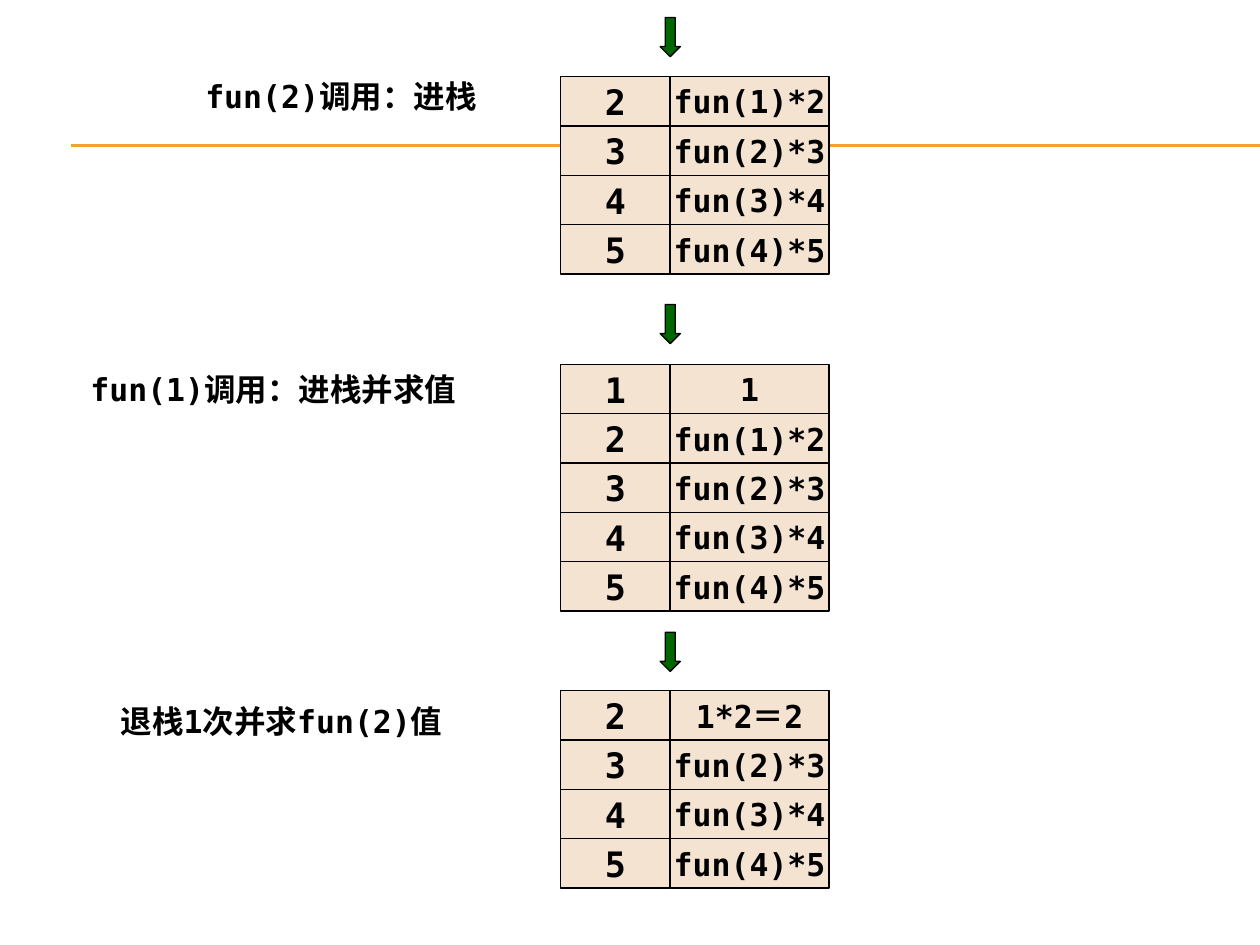
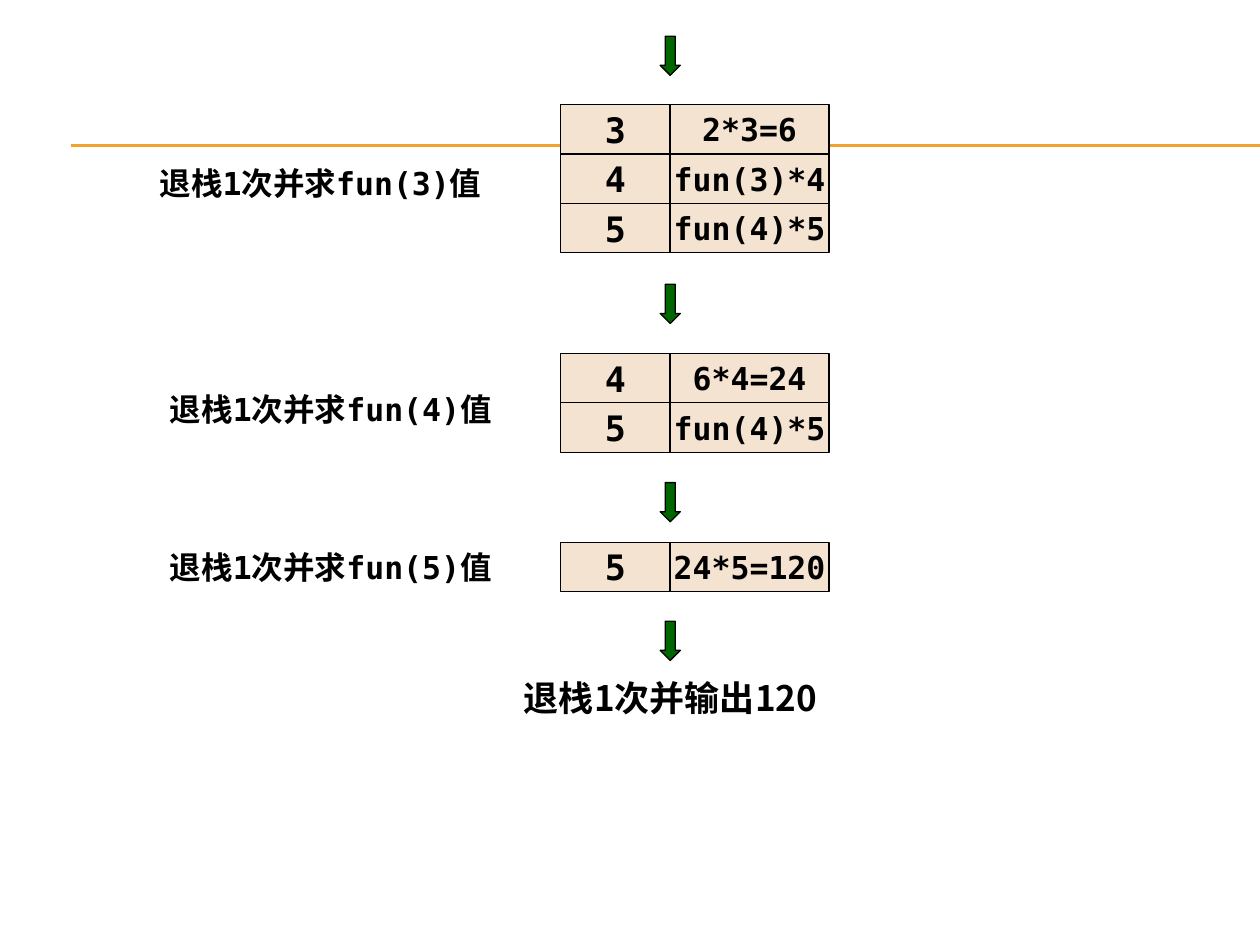
from pptx import Presentation
from pptx.dml.color import RGBColor
from pptx.enum.shapes import MSO_CONNECTOR, MSO_SHAPE
from pptx.enum.text import MSO_ANCHOR, MSO_AUTO_SIZE, PP_ALIGN
from pptx.oxml.ns import qn
from pptx.util import Pt
from lxml import etree

RECT, ARROW = MSO_SHAPE.RECTANGLE, MSO_SHAPE.DOWN_ARROW
LINE = MSO_CONNECTOR.STRAIGHT
MIDDLE, CENTER = MSO_ANCHOR.MIDDLE, PP_ALIGN.CENTER
GROW = MSO_AUTO_SIZE.SHAPE_TO_FIT_TEXT

BLACK = RGBColor(0x00, 0x00, 0x00)
GOLD = RGBColor(0xF0, 0xA2, 0x2E)
GREEN = RGBColor(0x00, 0x66, 0x00)
SAND = RGBColor(0xF5, 0xE3, 0xD1)

MONO, HAN = "DejaVu Sans Mono", "Noto Sans CJK SC"
WIDE, HIGH = 720, 540
DEPTH = 5                      # the first call, at the bottom of each stack
LEFT, KEY_W, VAL_W = 320.4, 62.6, 90.7
MID = LEFT + KEY_W
ROW = 28.2
ARROW_W, ARROW_H = 11.5, 22.4

# Each step: arrow top, stack top, top n, its value (None: still pending),
# then the label's text, left, top and width
PUSH = [
    (10, 43.8, 2, None, ("fun(2)调用：进栈", 110.2, 40.3, 187)),
    (174, 208.2, 1, "1", ("fun(1)调用：进栈并求值", 44.6, 208, 263.5)),
    (361.3, 394.7, 2, "1*2＝2", ("退栈1次并求fun(2)值", 61.9, 397.5, 235.5)),
]
POP = [
    (20.7, 59.8, 3, "2*3=6", ("退栈1次并求fun(3)值", 84.2, 90, 232.6)),
    (162.5, 202, 4, "6*4=24", ("退栈1次并求fun(4)值", 90, 219.6, 226.8)),
    (275.8, 309.8, 5, "24*5=120", ("退栈1次并求fun(5)值", 90, 309.6, 226.8)),
]


def write(frame, text, size, font=MONO):
    run = frame.paragraphs[0].add_run()
    run.text = text
    run.font.size, run.font.bold, run.font.name = Pt(size), True, font
    run.font.color.rgb = BLACK
    # Chinese glyphs take their own face
    han = etree.SubElement(run.font._element, qn("a:ea"))
    han.set("typeface", HAN)


def block(slide, kind, x, y, w, h, fill):
    shape = slide.shapes.add_shape(kind, Pt(x), Pt(y), Pt(w), Pt(h))
    shape.shadow.inherit = False
    shape.fill.solid()
    shape.fill.fore_color.rgb = fill
    shape.line.color.rgb = BLACK
    shape.line.width = Pt(0.75)
    return shape


def cell(slide, x, y, w, text, size):
    frame = block(slide, RECT, x, y, w, ROW, SAND).text_frame
    frame.word_wrap = False
    frame.vertical_anchor = MIDDLE
    frame.paragraphs[0].alignment = CENTER
    write(frame, text, size)


def stack(slide, top, first, value):
    """Draw the frames from n = first down to DEPTH; only the first has a value."""
    for n in range(first, DEPTH + 1):
        y = top + (n - first) * ROW
        text = value if n == first and value else f"fun({n - 1})*{n}"
        cell(slide, LEFT, y, KEY_W, str(n), 20)
        cell(slide, MID, y, VAL_W, text, 18)


def arrow(slide, top):
    shape = block(slide, ARROW, MID - ARROW_W / 2, top, ARROW_W, ARROW_H, GREEN)
    shape.adjustments[0] = 0.5
    shape.adjustments[1] = 0.5


def label(slide, text, x, y, w, size=18, font=MONO):
    box = slide.shapes.add_textbox(Pt(x), Pt(y), Pt(w), Pt(size * 1.2 + 7.2))
    frame = box.text_frame
    frame.word_wrap = True
    frame.auto_size = GROW
    write(frame, text, size, font)


def rule(slide):
    """Draw the double gold line that all slides share."""
    for y in (82.8, 83.4):
        line = slide.shapes.add_connector(LINE, Pt(40.5), Pt(y), Pt(WIDE), Pt(y))
        line.line.color.rgb = GOLD
        line.line.width = Pt(0.75)
        etree.SubElement(line._element.spPr, qn("a:effectLst"))


def trace(deck, steps):
    """Add a slide that shows the call stack after each step."""
    slide = deck.slides.add_slide(deck.slide_layouts[6])
    rule(slide)
    for tip, top, first, value, note in steps:
        arrow(slide, tip)
        stack(slide, top, first, value)
        label(slide, *note)
    return slide


def main():
    deck = Presentation()
    deck.slide_width, deck.slide_height = Pt(WIDE), Pt(HIGH)
    trace(deck, PUSH)
    last = trace(deck, POP)
    arrow(last, 355)
    label(last, "退栈1次并输出120", 292.3, 383, 204.5, 20, HAN)
    deck.save("out.pptx")


if __name__ == "__main__":
    main()
